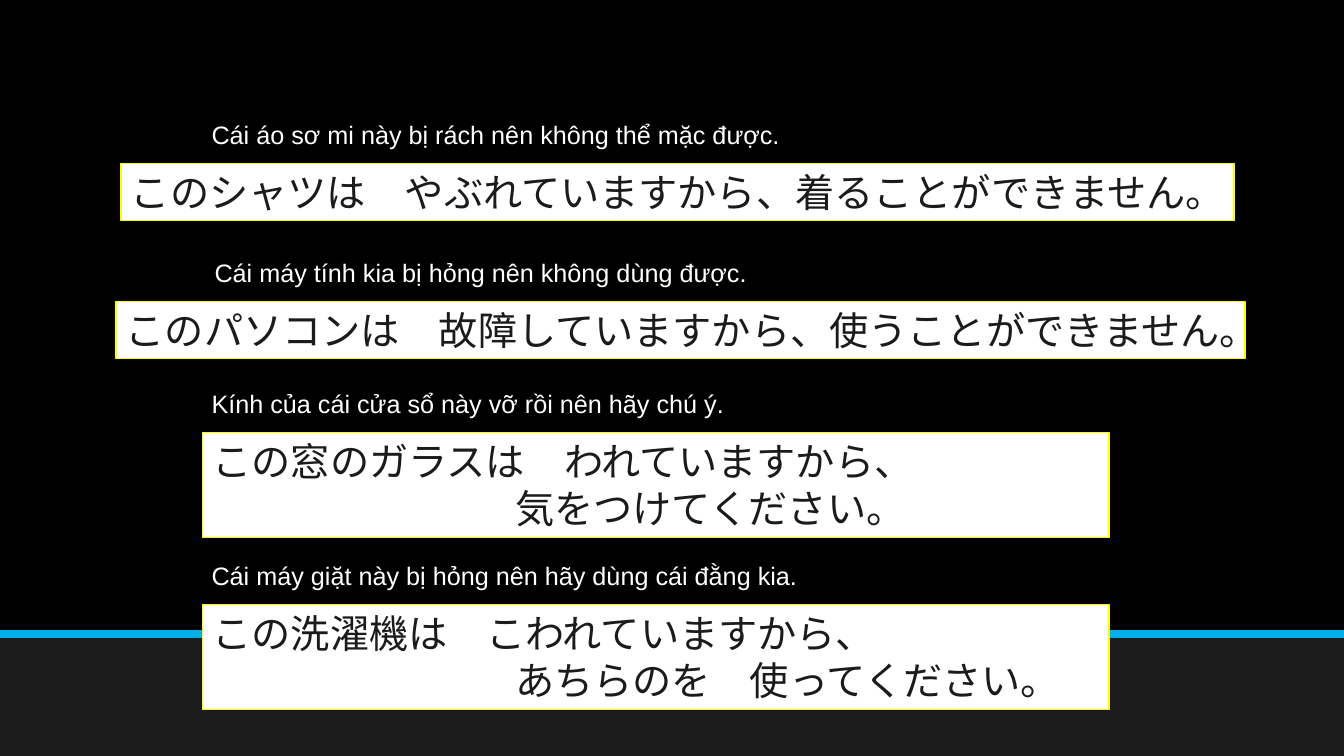
from lxml import etree
from pptx import Presentation
from pptx.dml.color import RGBColor
from pptx.enum import shapes, text
from pptx.oxml.ns import qn
from pptx.util import Inches, Pt

BACKGROUND = RGBColor(0x1B, 0x1B, 0x1B)
BLACK = RGBColor(0, 0, 0)
WHITE = RGBColor(0xFF, 0xFF, 0xFF)
YELLOW = RGBColor(0xFF, 0xFF, 0x00)
BLUE = RGBColor(0x00, 0xB0, 0xEA)

SLIDE_WIDTH, SLIDE_HEIGHT = 13.33, 7.5
ANSWER_OFFSET = 0.49
ANSWER_INDENT = 3

# caption left, caption top, Vietnamese sentence, answer box (left, width, height), answer lines;
# each answer line is a list of (text, Latin font) runs
SENTENCES = [
    (2, 1.13, "Cái áo sơ mi này bị rách nên không thể mặc được.", (1.2, 11.04, 0.57),
     [[("このシャツは　やぶれていますから、着ることができません。", "Calibri")]]),
    (2.03, 2.5, "Cái máy tính kia bị hỏng nên không dùng được.", (1.15, 11.2, 0.57),
     [[("このパソコンは　故障していますから、使うことができません。", "Calibri")]]),
    (2, 3.8, "Kính của cái cửa sổ này vỡ rồi nên hãy chú ý.", (2.01, 8.99, 1.04),
     [[("この窓のガラスは　われていますから、", "Calibri")],
      [("気をつけてください。", "Calibri")]]),
    (2, 5.51, "Cái máy giặt này bị hỏng nên hãy dùng cái đằng kia.", (2.01, 8.99, 1.04),
     [[("この洗", "Calibri"), ("濯", "Noto Sans CJK JP"),
       ("機は　こわれていますから、", "Calibri")],
      [("あちらのを　使ってください。", "Calibri")]]),
]


def write(shape, lines, size, color, east_asian=None, indent=0):
    """Fill a shape with lines of (text, font) runs; lines after the first are indented."""
    frame = shape.text_frame
    frame.word_wrap = True
    frame.auto_size = text.MSO_AUTO_SIZE.SHAPE_TO_FIT_TEXT
    frame.vertical_anchor = text.MSO_ANCHOR.TOP
    for index, runs in enumerate(lines):
        paragraph = frame.add_paragraph() if index else frame.paragraphs[0]
        paragraph.alignment = text.PP_ALIGN.LEFT
        if index and indent:
            paragraph._p.get_or_add_pPr().set("marL", str(Inches(indent)))
        for words, font_name in runs:
            run = paragraph.add_run()
            run.text = words
            run.font.size = Pt(size)
            run.font.color.rgb = color
            run.font.name = font_name
            if east_asian:
                etree.SubElement(run._r.rPr, qn("a:ea"), typeface=east_asian)


def add_rectangle(slide, left, top, width, height, fill, line=None):
    rectangle = slide.shapes.add_shape(
        shapes.MSO_SHAPE.RECTANGLE, Inches(left), Inches(top), Inches(width), Inches(height))
    rectangle.shadow.inherit = False
    rectangle.fill.solid()
    rectangle.fill.fore_color.rgb = fill
    if line is None:
        rectangle.line.fill.background()
    else:
        rectangle.line.color.rgb = line
        rectangle.line.width = Pt(1)
    return rectangle


def add_backdrop(slide):
    slide.background.fill.solid()
    slide.background.fill.fore_color.rgb = BACKGROUND
    add_rectangle(slide, 0, 0, SLIDE_WIDTH, 6.25, BLACK)
    rule = slide.shapes.add_connector(
        shapes.MSO_CONNECTOR.STRAIGHT, 0, Inches(6.29), Inches(SLIDE_WIDTH), Inches(6.29))
    rule.line.color.rgb = BLUE
    rule.line.width = Pt(6)
    etree.SubElement(rule._element.spPr, qn("a:effectLst"))


def add_sentence(slide, left, top, vietnamese, answer_box, answer_lines):
    """Place a Vietnamese caption with its Japanese translation in a box below it."""
    caption = slide.shapes.add_textbox(Inches(left), Inches(top), Inches(6.5), Inches(0.4))
    write(caption, [[(vietnamese, "Arial")]], 18, WHITE)
    answer_left, width, height = answer_box
    answer = add_rectangle(
        slide, answer_left, top + ANSWER_OFFSET, width, height, WHITE, YELLOW)
    write(answer, answer_lines, 28, BACKGROUND, east_asian="Calibri", indent=ANSWER_INDENT)


def main():
    presentation = Presentation()
    presentation.slide_width = Inches(SLIDE_WIDTH)
    presentation.slide_height = Inches(SLIDE_HEIGHT)
    slide = presentation.slides.add_slide(presentation.slide_layouts[6])
    add_backdrop(slide)
    for sentence in SENTENCES:
        add_sentence(slide, *sentence)
    presentation.save("out.pptx")


if __name__ == "__main__":
    main()
